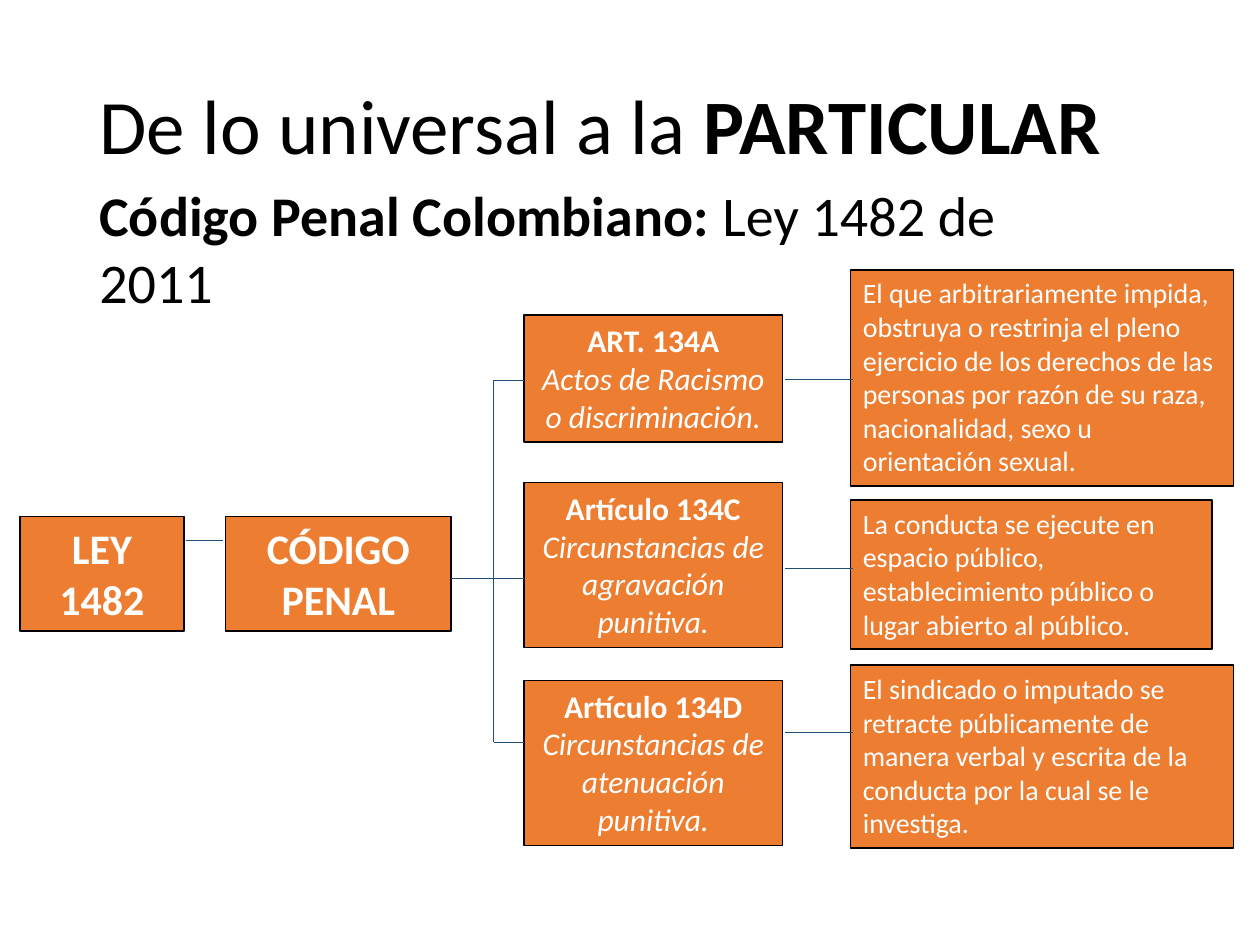
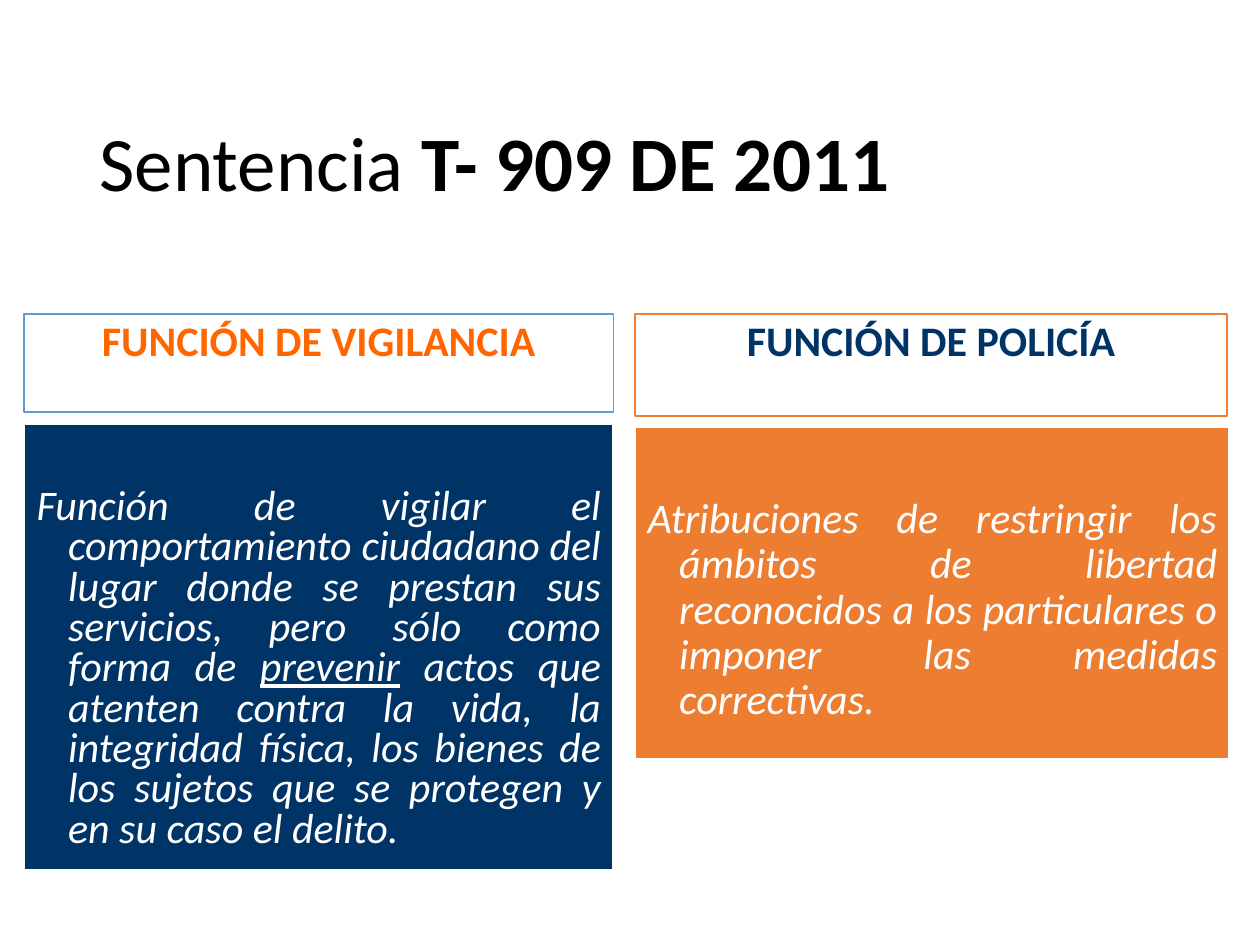
from lxml.etree import SubElement
from pptx import Presentation
from pptx.dml.color import RGBColor
from pptx.enum.shapes import MSO_CONNECTOR, MSO_SHAPE
from pptx.enum.text import MSO_ANCHOR as Anchor, MSO_AUTO_SIZE as AutoSize, PP_ALIGN as Align
from pptx.oxml.ns import qn
from pptx.util import Inches, Pt

FONT = "Calibri"
BLACK, WHITE = "000000", "FFFFFF"
ORANGE, BRIGHT_ORANGE = "ED7D31", "FF6600"
NAVY, LINK_BLUE, SKY = "003366", "1F4E79", "5B9BD5"
hex_color = RGBColor.from_string


def add_span(para, text, size, color, bold=False, italic=False, underline=False):
    span = para.add_run()
    span.text = text
    font = span.font
    font.name, font.size = FONT, Pt(size)
    font.bold, font.italic, font.underline = bold, italic, underline
    font.color.rgb = hex_color(color)


def dress_box(box, area, fill, outline, width):
    """Place a filled, outlined box and prepare its text frame."""
    box.left, box.top, box.width, box.height = map(Inches, area)
    box.fill.solid()
    box.fill.fore_color.rgb = hex_color(fill)
    box.line.color.rgb = hex_color(outline)
    box.line.width = Pt(width)
    frame = box.text_frame
    frame.word_wrap, frame.auto_size = True, AutoSize.NONE
    frame.vertical_anchor = Anchor.TOP
    return frame


deck = Presentation()
deck.slide_width, deck.slide_height = Inches(10), Inches(7.5)

# Both titles share one style: layout number, top, regular part, bold part
pages = []
for layout, top, regular, strong in [
    (5, 0.3, "De lo universal a la ", "PARTICULAR"),
    (4, 0.6, "Sentencia ", "T- 909 DE 2011"),
]:
    page = deck.slides.add_slide(deck.slide_layouts[layout])
    title = page.shapes.title
    title.left, title.top, title.width, title.height = map(Inches, (0.69, top, 8.62, 1.45))
    title.text_frame.auto_size = AutoSize.NONE
    title.text_frame.vertical_anchor = Anchor.MIDDLE
    para = title.text_frame.paragraphs[0]
    para.alignment, para.line_spacing = Align.LEFT, 0.9
    add_span(para, regular, 44, BLACK)
    add_span(para, strong, 44, BLACK, bold=True)
    pages.append(page)
law_page, ruling_page = pages

# Slide 1: the law, the code, its articles and what each one says
subtitle = law_page.shapes.add_textbox(*map(Inches, (0.69, 1.38, 8.17, 1.18)))
subtitle.text_frame.word_wrap = True
para = subtitle.text_frame.paragraphs[0]
add_span(para, "Código Penal Colombiano: ", 32, BLACK, bold=True)
add_span(para, "Ley 1482 de 2011", 32, BLACK)

ARTICLE_LEFT, ARTICLE_WIDTH, DETAIL_LEFT = 4.16, 2.05, 6.75
TRUNK_X = 3.92
# heading, subject, (top, height), detail, (top, width, height), branch y, link y
articles = [
    ("ART. 134A", "Actos de Racismo o discriminación.", (2.5, 1.01),
     "El que arbitrariamente impida, obstruya o restrinja el pleno ejercicio de los derechos "
     "de las personas por razón de su raza, nacionalidad, sexo u orientación sexual.",
     (2.14, 3.04, 1.72), 3.02, 3.01),
    ("Artículo 134C", "Circunstancias de agravación punitiva.", (3.83, 1.31),
     "La conducta se ejecute en espacio público, establecimiento público o lugar abierto "
     "al público.",
     (3.97, 2.87, 1.18), 4.59, 4.51),
    ("Artículo 134D", "Circunstancias de atenuación punitiva.", (5.4, 1.31),
     "El sindicado o imputado se retracte públicamente de manera verbal y escrita de la "
     "conducta por la cual se le investiga.",
     (5.28, 3.04, 1.45), 5.89, 5.81),
]

# Each box: area, alignment, size, paragraphs as (text, bold, italic)
boxes = [
    ((0.16, 4.1, 1.3, 0.91), Align.CENTER, 24, [("LEY 1482", True, False)]),
    ((1.79, 4.1, 1.79, 0.91), Align.CENTER, 24, [("CÓDIGO PENAL", True, False)]),
]
links = [
    (1.48, 4.29, 1.77, 4.29),
    (3.58, 4.59, TRUNK_X, 4.59),
    (TRUNK_X, articles[0][5], TRUNK_X, articles[-1][5]),
]
for heading, subject, (top, height), detail, (detail_top, width, detail_height), branch, link in articles:
    boxes.append(((ARTICLE_LEFT, top, ARTICLE_WIDTH, height), Align.CENTER, 18,
                  [(heading, True, False), (subject, False, True)]))
    boxes.append(((DETAIL_LEFT, detail_top, width, detail_height), Align.LEFT, 16,
                  [(detail, False, False)]))
    links.append((TRUNK_X, branch, ARTICLE_LEFT, branch))
    links.append((6.23, link, 6.77, link))

for area, alignment, size, lines in boxes:
    box = law_page.shapes.add_shape(MSO_SHAPE.RECTANGLE, *map(Inches, area))
    box.shadow.inherit = False
    frame = dress_box(box, area, ORANGE, BLACK, 1)
    for number, (text, bold, italic) in enumerate(lines):
        para = frame.add_paragraph() if number else frame.paragraphs[0]
        para.alignment = alignment
        add_span(para, text, size, WHITE, bold, italic)

for ends in links:
    connector = law_page.shapes.add_connector(MSO_CONNECTOR.STRAIGHT, *map(Inches, ends))
    connector.line.color.rgb = hex_color(LINK_BLUE)
    connector.line.width = Pt(0.5)
    SubElement(connector._element.spPr, qn("a:effectLst"))

# Slide 2: two columns, each with a heading over a filled body
columns = [
    dict(ids=(1, 2), heading="FUNCIÓN DE VIGILANCIA", color=BRIGHT_ORANGE, outline=SKY, fill=NAVY,
         heading_area=(0.19, 2.49, 4.68, 0.78), body_area=(0.19, 3.36, 4.68, 3.55), spacing=0.8,
         spans=[("Función de vigilar el comportamiento ciudadano del lugar donde se prestan sus "
                 "servicios, pero sólo como forma de ", False),
                ("prevenir", True),
                (" actos que atenten contra la vida, la integridad física, los bienes de los "
                 "sujetos que se protegen y en su caso el delito.", False)]),
    dict(ids=(3, 4), heading="FUNCIÓN DE POLICÍA", color=NAVY, outline=ORANGE, fill=ORANGE,
         heading_area=(5.04, 2.49, 4.7, 0.81), body_area=(5.04, 3.39, 4.72, 2.64), spacing=0.9,
         spans=[("Atribuciones de restringir los ámbitos de libertad reconocidos a los "
                 "particulares o imponer las medidas correctivas.", False)]),
]
holders = {holder.placeholder_format.idx: holder for holder in ruling_page.placeholders}
for column in columns:
    heading, body = (holders[number] for number in column["ids"])
    frame = dress_box(heading, column["heading_area"], WHITE, column["outline"], 1)
    para = frame.paragraphs[0]
    para.alignment, para.line_spacing, para.space_before = Align.CENTER, 0.9, Pt(10)
    add_span(para, column["heading"], 24, column["color"], bold=True)

    frame = dress_box(body, column["body_area"], column["fill"], WHITE, 1.5)
    # The text starts one line and one paragraph gap below the top edge
    frame.margin_top = Inches(0.05) + Pt(24 * 1.22 * column["spacing"] + 10)
    para = frame.paragraphs[0]
    para.alignment, para.line_spacing, para.space_before = Align.JUSTIFY, column["spacing"], Pt(0)
    properties = para._p.get_or_add_pPr()
    properties.set("marL", str(Inches(0.25)))
    properties.set("indent", str(-Inches(0.25)))
    SubElement(properties, qn("a:buNone"))
    for text, underline in column["spans"]:
        add_span(para, text, 24, WHITE, italic=True, underline=underline)

deck.save("out.pptx")
